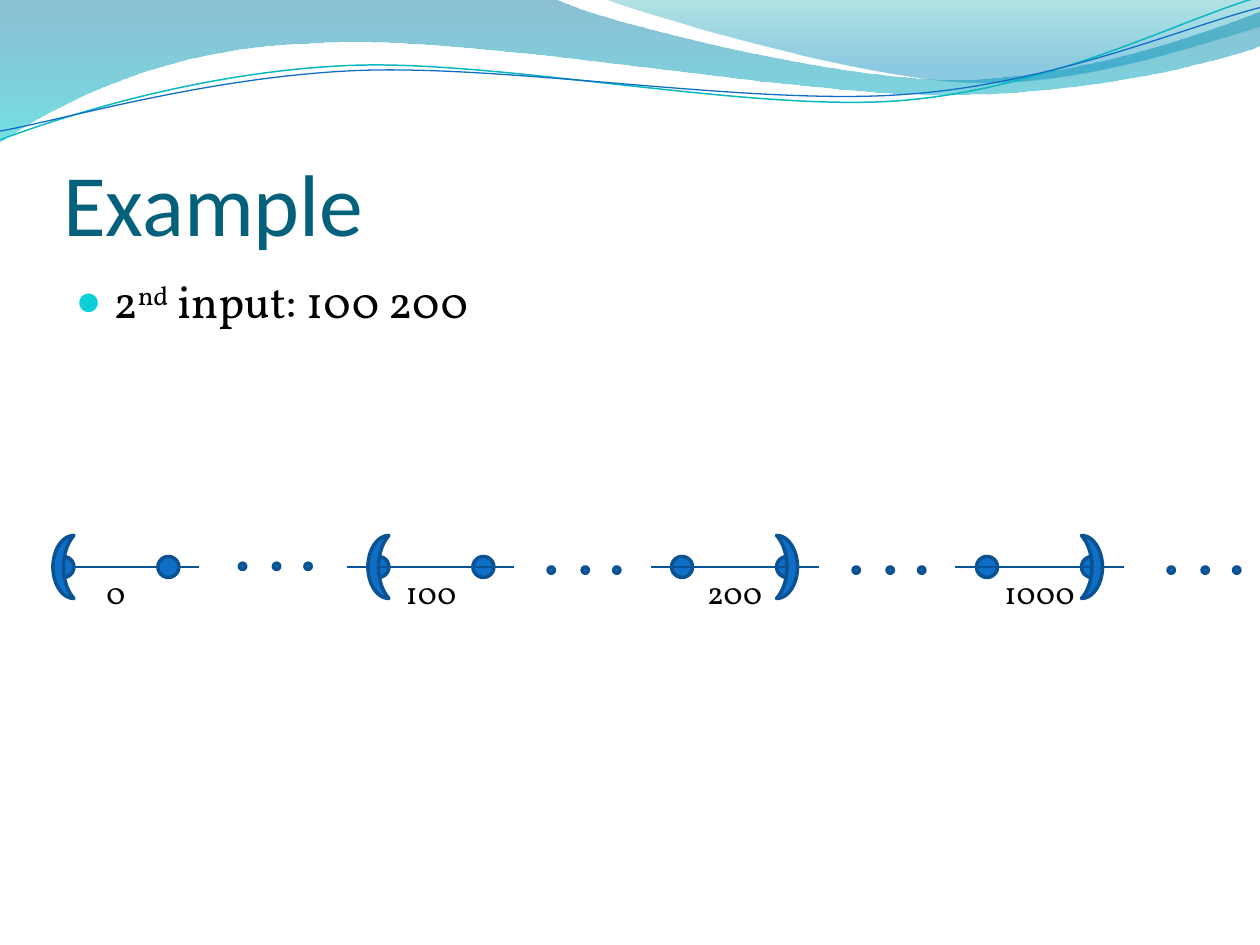
import math

from lxml import etree
from pptx import Presentation
from pptx.dml.color import RGBColor
from pptx.enum import shapes, text
from pptx.oxml.ns import qn
from pptx.util import Inches, Pt

# Colours
TITLE = RGBColor(0x04, 0x61, 0x7B)
BLACK = RGBColor(0, 0, 0)
BLUE = RGBColor(0x0F, 0x6F, 0xC6)
OUTLINE = RGBColor(0x0B, 0x52, 0x92)
AXIS = RGBColor(0x09, 0x52, 0x95)
TEAL = RGBColor(0x0A, 0xB8, 0xBF)
BULLET = "0BD0D9"
WAVE_TOP, WAVE_BOTTOM = RGBColor(0, 0x74, 0xA1), RGBColor(0, 0xC6, 0xCF)
CREST_TOP, CREST_BOTTOM = RGBColor(0, 0xA1, 0xA9), RGBColor(0, 0x8B, 0xBF)
FONT = "Vollkorn"

# Content: body runs as (text, superscript)
HEADING = "Example"
BODY_RUNS = [("2", False), ("nd", True), (" input: 100 200", False)]

# Number line: (label, left of first point, line start, line end, bracket side)
SEGMENTS = [
    ("0", 0.42, 0.5, 1.58, "left"),
    ("100", 2.92, 2.75, 4.08, "left"),
    ("200", 5.33, 5.17, 6.5, "right"),
    ("1000", 7.75, 7.58, 8.92, "right"),
]
ELLIPSES = [(1.9, 4.47), (4.35, 4.5), (6.77, 4.5), (9.27, 4.5)]
DOT_STEPS = (0, 0.27, 0.52)
AXIS_Y, POINT, POINT_STEP, DOT = 4.5, 1 / 6, 5 / 6, 0.05

# Waves: a pair is a straight step, six numbers are a curve step
FILLED_WAVES = [
    ([(0, 0), (4.4, -0.01), (4.76, 0.17, 6.64, 0.63, 7.58, 0.63),
      (8.53, 0.63, 9.58, 0.26, 10, 0.09), (10.01, 0.36),
      (9.83, 0.44, 8.7, 0.76, 7.46, 0.75), (6.22, 0.75, 3.82, 0.28, 2.57, 0.34),
      (1.29, 0.36, 0.46, 0.83, -0.01, 1.13)],
     [(0, WAVE_TOP, 45), (1, WAVE_BOTTOM, 55)]),
    ([(4.79, -0.01), (5.09, 0.11, 6.82, 0.62, 7.69, 0.65),
      (8.56, 0.69, 9.61, 0.32, 10, 0.21), (10, 0)],
     [(0, CREST_TOP, 30), (0.8, CREST_BOTTOM, 45)]),
]
LINE_WAVES = [
    ([(0, 1.11), (0.48, 0.93, 1.58, 0.57, 2.77, 0.52),
      (3.95, 0.47, 5.93, 0.89, 7.13, 0.8), (8.33, 0.71, 9.38, 0.15, 9.98, -0.02)],
     TEAL, 0.85),
    ([(0, 1.04), (0.47, 0.96, 1.64, 0.61, 2.83, 0.56),
      (4.03, 0.51, 5.97, 0.84, 7.17, 0.75), (8.36, 0.67, 9.41, 0.21, 10, 0.06)],
     BLUE, 0.75),
]
TILT, TILT_CENTER = -2.7, (4.99, 0.58)

presentation = Presentation()
presentation.slide_width, presentation.slide_height = Inches(10), Inches(7.5)
slide = presentation.slides.add_slide(presentation.slide_layouts[1])


def place(shape, left, top, width, height):
    shape.left, shape.top = Inches(left), Inches(top)
    shape.width, shape.height = Inches(width), Inches(height)


def style(run, size, color, font=FONT):
    run.font.size, run.font.name = Pt(size), font
    run.font.color.rgb = color


def to_points(step, tilt):
    """Split a step into points, turned back by the tilt of the shape."""
    sine, cosine = math.sin(math.radians(-tilt)), math.cos(math.radians(-tilt))
    center_x, center_y = TILT_CENTER
    points = []
    for x, y in zip(step[::2], step[1::2]):
        dx, dy = x - center_x, y - center_y
        points.append((Inches(center_x + dx * cosine - dy * sine),
                       Inches(center_y + dx * sine + dy * cosine)))
    return points


def add_wave(steps, close, tilt=0):
    steps = [to_points(step, tilt) for step in steps]
    builder = slide.shapes.build_freeform(*steps[0][0])
    builder.add_line_segments([step[-1] for step in steps[1:]], close=close)
    wave = builder.convert_to_shape()
    wave.shadow.inherit = False
    # Bend the straight segments that have control points
    segments = list(wave._element.spPr.iter(qn("a:lnTo")))
    for segment, step in zip(segments, steps[1:]):
        if len(step) == 3:
            curve = etree.Element(qn("a:cubicBezTo"))
            for x, y in step:
                etree.SubElement(curve, qn("a:pt"), x=str(x - wave.left), y=str(y - wave.top))
            segment.getparent().replace(segment, curve)
    wave.rotation = tilt
    return wave


def add_mark(kind, left, top, width, height):
    mark = slide.shapes.add_shape(kind, Inches(left), Inches(top), Inches(width), Inches(height))
    mark.shadow.inherit = False
    mark.fill.solid()
    mark.fill.fore_color.rgb = BLUE
    mark.line.color.rgb, mark.line.width = OUTLINE, Pt(2)
    return mark


def add_axis(start, end):
    line = slide.shapes.add_connector(shapes.MSO_CONNECTOR.STRAIGHT, Inches(start),
                                      Inches(AXIS_Y), Inches(end), Inches(AXIS_Y))
    line.line.color.rgb, line.line.width = AXIS, Pt(0.75)
    etree.SubElement(line._element.spPr, qn("a:effectLst"))


# Waves
for steps, stops in FILLED_WAVES:
    wave = add_wave(steps, True)
    wave.line.fill.background()
    wave.fill.gradient()
    wave.fill.gradient_angle = 270
    for stop, (position, color, _) in zip(wave.fill.gradient_stops, stops):
        stop.position, stop.color.rgb = position, color
    for element, (_, _, opacity) in zip(wave._element.spPr.iter(qn("a:srgbClr")), stops):
        etree.SubElement(element, qn("a:alpha"), val=str(opacity * 1000))
for steps, color, width in LINE_WAVES:
    wave = add_wave(steps, False, TILT)
    wave.fill.background()
    wave.line.color.rgb, wave.line.width = color, Pt(width)

# Title and body, in front of the waves
title, body = slide.shapes.title, slide.placeholders[1]
for placeholder in (title, body):
    slide.shapes._spTree.append(placeholder._element)

place(title, 0.5, 0.77, 9, 1.25)
frame = title.text_frame
frame.text = HEADING
frame.vertical_anchor = text.MSO_ANCHOR.BOTTOM
frame.margin_left = frame.margin_right = frame.margin_bottom = 0
frame.margin_top = Inches(0.05)
frame.paragraphs[0].alignment = text.PP_ALIGN.LEFT
style(frame.paragraphs[0].runs[0], 50, TITLE, "Calibri")

place(body, 0.5, 2.12, 9, 4.8)
paragraph = body.text_frame.paragraphs[0]
for words, raised in BODY_RUNS:
    run = paragraph.add_run()
    run.text = words
    style(run, 26, BLACK)
    if raised:
        run.font._element.set("baseline", "30000")
properties = paragraph._p.get_or_add_pPr()
properties.set("marL", str(Inches(0.3)))
properties.set("indent", str(Inches(-0.3)))
bullet_color = etree.SubElement(properties, qn("a:buClr"))
etree.SubElement(bullet_color, qn("a:srgbClr"), val=BULLET)
etree.SubElement(properties, qn("a:buSzPct"), val="95000")
etree.SubElement(properties, qn("a:buChar"), char="\u25cf")

# Number line segments; the first axis lies behind its points
OVAL, MOON = shapes.MSO_SHAPE.OVAL, shapes.MSO_SHAPE.MOON
for number, (label, left, start, end, side) in enumerate(SEGMENTS):
    if number == 0:
        add_axis(start, end)
    for x in (left, left + POINT_STEP):
        add_mark(OVAL, x, AXIS_Y - POINT / 2, POINT, POINT)
    if number > 0:
        add_axis(start, end)

    box = slide.shapes.add_textbox(Inches(left + POINT / 2), Inches(AXIS_Y),
                                   Inches(POINT_STEP), Inches(0.4))
    box.text_frame.word_wrap = True
    box.text_frame.text = label
    box.text_frame.paragraphs[0].alignment = text.PP_ALIGN.CENTER
    style(box.text_frame.paragraphs[0].runs[0], 18, BLACK)

    bracket_left = left if side == "left" else left + POINT_STEP
    bracket = add_mark(MOON, bracket_left, AXIS_Y - 0.25, POINT, 0.5)
    if side == "right":
        bracket._element.spPr.find(qn("a:xfrm")).set("flipH", "1")

# Dots between segments
for left, top in ELLIPSES:
    for step in DOT_STEPS:
        add_mark(OVAL, left + step, top, DOT, DOT)

presentation.save("out.pptx")
